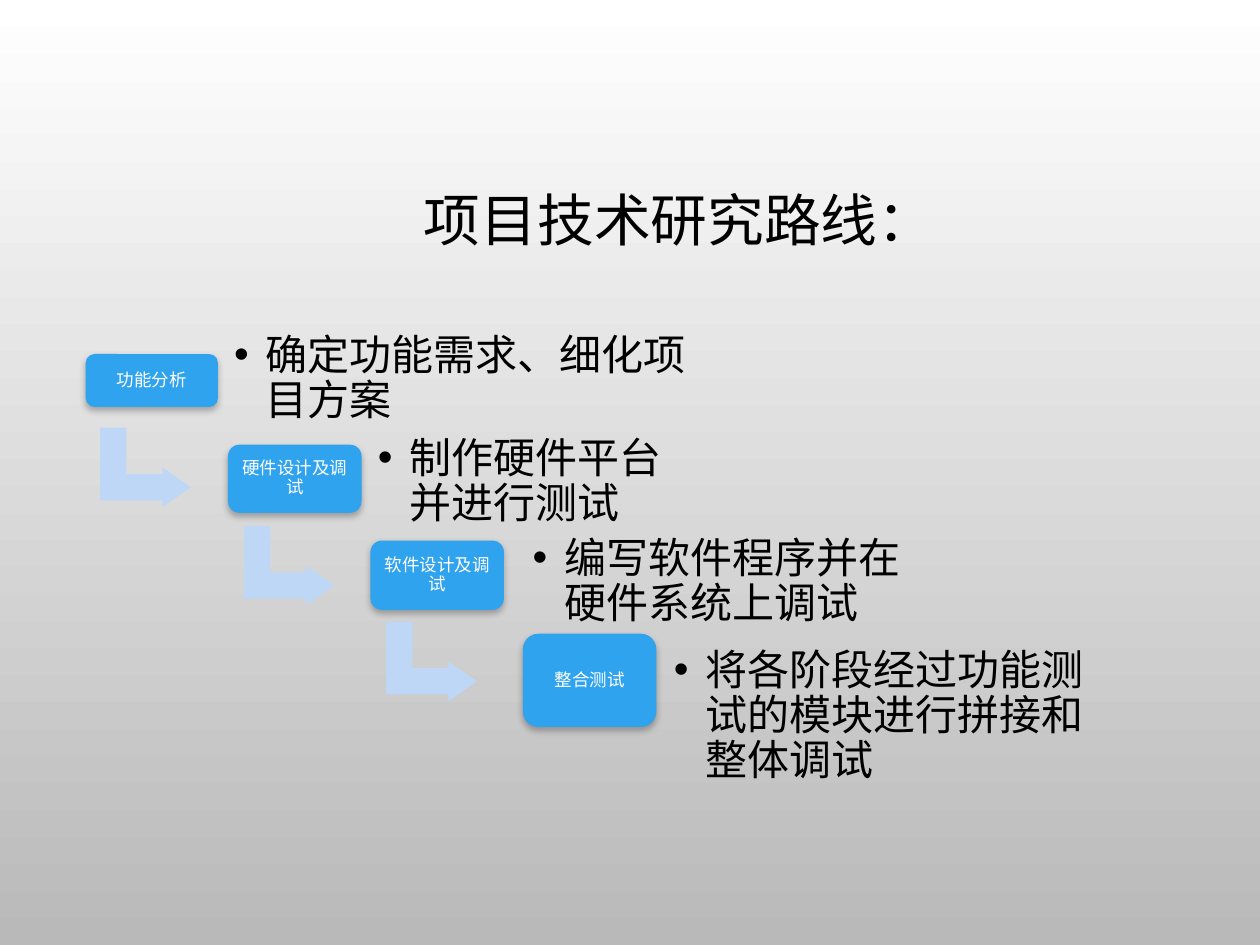
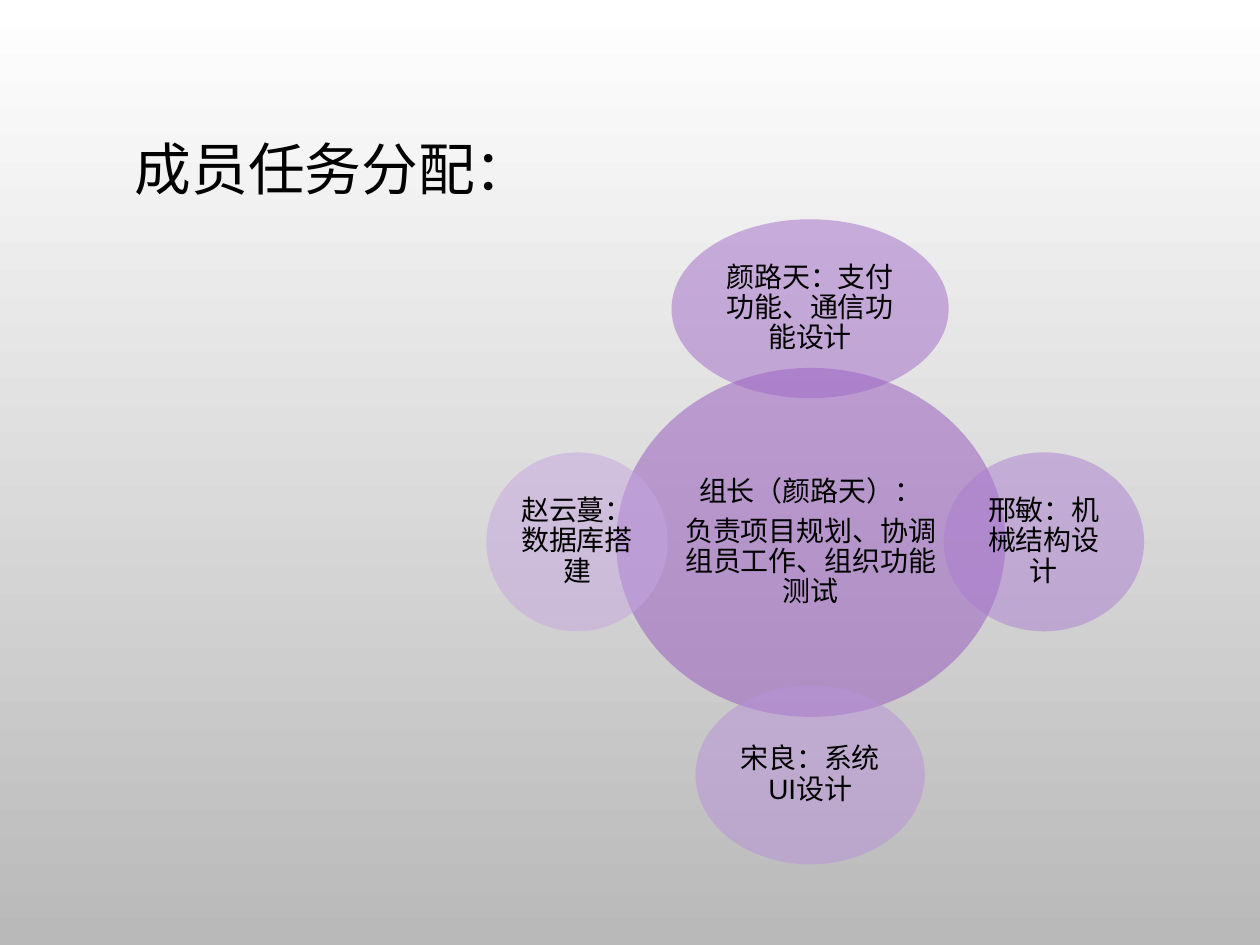
import dataclasses
import typing

import lxml.etree
import pptx
import pptx.dml.color
import pptx.enum.lang
import pptx.enum.shapes
import pptx.enum.text
import pptx.oxml.ns
import pptx.shapes.autoshape
import pptx.slide
import pptx.text.text
import pptx.util

SCALE = 9144
SHAPE = pptx.enum.shapes.MSO_SHAPE
ALIGN = pptx.enum.text.PP_ALIGN


@dataclasses.dataclass(frozen=True)
class Theme:
    ink: str = "000000"
    light: str = "FFFFFF"
    shade: str = "B9B9B9"
    box: str = "2FA3EE"
    arrow: str = "BED7F7"
    leader: str = "9454BE"
    font: str = "Cabin"
    plain: str = "Arial"
    title: float = 32.4
    note: float = 24
    role: float = 16
    label: float = 10


THEME = Theme()


class Box(typing.NamedTuple):
    x: int
    y: int
    w: int
    h: int


class Step(typing.NamedTuple):
    label: str
    box: Box
    note: str
    area: Box
    turn: typing.Optional[Box]


class Member(typing.NamedTuple):
    task: str
    dx: int
    dy: int
    wide: int
    fill: str
    font: str = THEME.font


STEPS = (
    Step("功能分析", Box(68, 281, 105, 42), "确定功能需求、细化项目方案",
         Box(176, 271, 388, 60), Box(84, 335, 63, 72)),
    Step("硬件设计及调试", Box(181, 353, 106, 54), "制作硬件平台并进行测试",
         Box(290, 353, 273, 60), Box(198, 413, 63, 72)),
    Step("软件设计及调试", Box(294, 429, 106, 55), "编写软件程序并在硬件系统上调试",
         Box(413, 432, 323, 60), Box(311, 489, 63, 72)),
    Step("整合测试", Box(415, 503, 106, 74), "将各阶段经过功能测试的模块进行拼接和整体调试",
         Box(525, 539, 376, 60), None),
)

HUB = Box(489, 292, 309, 277)
REACH = 185
TALL = 142
TEAM = (
    Member("颜路天：支付功能、通信功能设计", 0, -1, 220, "A068C7"),
    Member("邢敏：机械结构设计", 1, 0, 159, "AC7DD0"),
    Member("宋良：系统UI设计", 0, 1, 182, "B891D8", THEME.plain),
    Member("赵云蔓：数据库搭建", -1, 0, 144, "C5A6E1"),
)


def px(size: int) -> int:
    return pptx.util.Emu(size * SCALE)


def place(box: Box) -> typing.List[int]:
    return [px(side) for side in box]


def rgb(code: str) -> pptx.dml.color.RGBColor:
    return pptx.dml.color.RGBColor.from_string(code)


def add(node: typing.Any, tag: str, **attrs: str) -> typing.Any:
    return lxml.etree.SubElement(node, pptx.oxml.ns.qn(tag), **attrs)


def write(frame: pptx.text.text.TextFrame, *lines: str, size: float,
          fonts: typing.Sequence[str] = (THEME.font,), color: str = THEME.ink,
          align: typing.Any = ALIGN.CENTER, gap: float = 0, inset: int = 10,
          bullet: bool = False) -> None:
    frame.word_wrap = True
    frame.auto_size = pptx.enum.text.MSO_AUTO_SIZE.NONE
    frame.vertical_anchor = pptx.enum.text.MSO_ANCHOR.MIDDLE
    frame.margin_left = frame.margin_right = px(inset)
    frame.margin_top = frame.margin_bottom = px(min(inset, 5) if not bullet else inset)
    for rank, (line, font) in enumerate(zip(lines, fonts)):
        para = frame.add_paragraph() if rank else frame.paragraphs[0]
        para.alignment = align
        para.line_spacing = 0.9
        para.space_after = pptx.util.Pt(size * gap)
        run = para.add_run()
        run.text = line
        run.font.size = pptx.util.Pt(size)
        run.font.name = font
        run.font.color.rgb = rgb(color)
        run.font.language_id = pptx.enum.lang.MSO_LANGUAGE_ID.SIMPLIFIED_CHINESE
        if bullet:
            props = para._p.get_or_add_pPr()
            props.set("marL", str(px(25)))
            props.set("indent", str(px(-25)))
            add(props, "a:buFont", typeface=THEME.plain)
            add(props, "a:buChar", char="•")


def draw(slide: pptx.slide.Slide, kind: typing.Any, box: Box, fill: str,
         alpha: int = 100) -> pptx.shapes.autoshape.Shape:
    shape = slide.shapes.add_shape(kind, *place(box))
    shape.shadow.inherit = False
    shape.fill.solid()
    shape.fill.fore_color.rgb = rgb(fill)
    shape.line.fill.background()
    if alpha < 100:
        tint = shape.element.spPr.find(".//" + pptx.oxml.ns.qn("a:srgbClr"))
        add(tint, "a:alpha", val=str(alpha * 1000))
    return shape


def cast(shape: pptx.shapes.autoshape.Shape) -> None:
    effect = shape.element.spPr.find(pptx.oxml.ns.qn("a:effectLst"))
    outer = add(effect, "a:outerShdw", blurRad=str(pptx.util.Pt(4)),
                dist=str(pptx.util.Pt(2)), dir="5400000", rotWithShape="0")
    add(add(outer, "a:srgbClr", val=THEME.ink), "a:alpha", val="28000")


def start(deck: typing.Any, title: str, box: Box) -> pptx.slide.Slide:
    slide = deck.slides.add_slide(deck.slide_layouts[5])
    head = slide.shapes.title
    head.left, head.top, head.width, head.height = place(box)
    write(head.text_frame, title, size=THEME.title)
    return slide


def paint(deck: typing.Any) -> None:
    fill = deck.slide_master.background.fill
    fill.gradient()
    fill.gradient_angle = 270
    for stop, color, spot in zip(fill.gradient_stops, (THEME.light, THEME.shade), (0, 1)):
        stop.color.rgb = rgb(color)
        stop.position = spot


def route(deck: typing.Any) -> None:
    slide = start(deck, "项目技术研究路线：", Box(320, 131, 393, 93))
    for step in STEPS:
        if step.turn:
            arrow = draw(slide, SHAPE.BENT_UP_ARROW, step.turn, THEME.arrow)
            arrow.rotation = 90
            for rank, value in enumerate((0.33, 0.25, 0.36)):
                arrow.adjustments[rank] = value
        card = draw(slide, SHAPE.ROUNDED_RECTANGLE, step.box, THEME.box)
        cast(card)
        write(card.text_frame, step.label, size=THEME.label, color=THEME.light,
              gap=0.35, inset=4)
        note = slide.shapes.add_textbox(*place(step.area))
        write(note.text_frame, step.note, size=THEME.note, align=ALIGN.LEFT,
              gap=0.15, bullet=True)


def team(deck: typing.Any) -> None:
    slide = start(deck, "成员任务分配：", Box(93, 82, 298, 110))
    hub = draw(slide, SHAPE.OVAL, HUB, THEME.leader, alpha=50)
    write(hub.text_frame, "组长（颜路天）：", "负责项目规划、协调组员工作、组织功能测试",
          size=THEME.role, fonts=(THEME.plain, THEME.font), gap=0.35, inset=2)
    for member in TEAM:
        left = HUB.x + (HUB.w - member.wide) // 2 + member.dx * REACH
        top = HUB.y + (HUB.h - TALL) // 2 + member.dy * REACH
        oval = draw(slide, SHAPE.OVAL, Box(left, top, member.wide, TALL),
                    member.fill, alpha=50)
        write(oval.text_frame, member.task, size=THEME.role, fonts=(member.font,),
              gap=0.35, inset=2)


def main() -> None:
    deck = pptx.Presentation()
    deck.slide_width, deck.slide_height = px(1000), px(750)
    paint(deck)
    route(deck)
    team(deck)
    deck.save("out.pptx")


if __name__ == "__main__":
    main()
